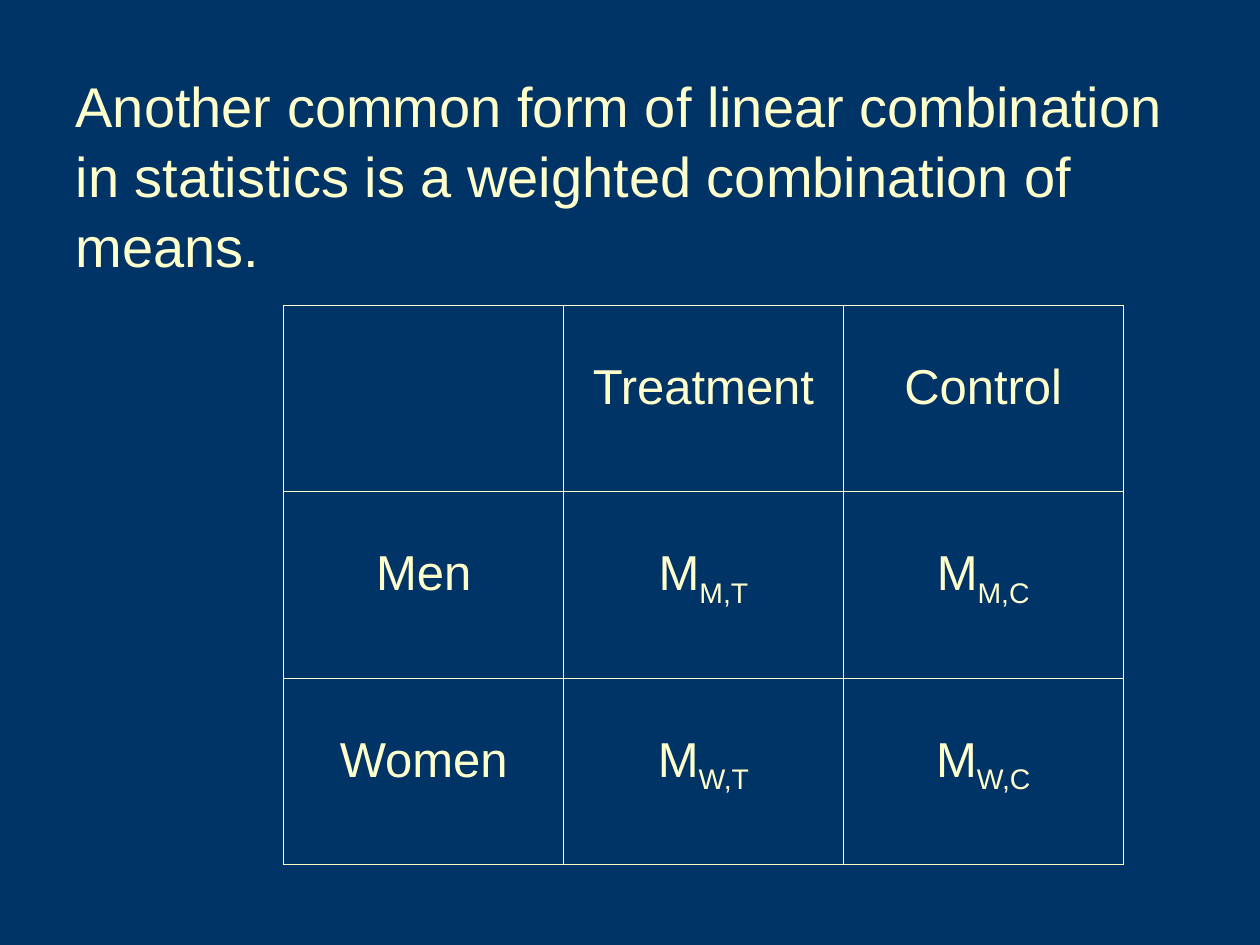
from lxml import etree
from pptx import Presentation
from pptx.dml.color import RGBColor
from pptx.enum import text
from pptx.oxml import ns
from pptx.util import Cm, Pt

TITLE = ("Another common form of linear combination in statistics "
         "is a weighted combination of means.")
# Each cell is (text, subscript).
ROWS = [
    [("", ""), ("Treatment", ""), ("Control", "")],
    [("Men", ""), ("M", "M,T"), ("M", "M,C")],
    [("Women", ""), ("M", "W,T"), ("M", "W,C")],
]


class Theme:
    font = "Arial"
    back = RGBColor(0x00, 0x33, 0x66)
    ink = RGBColor(0xFF, 0xFF, 0xCC)
    title = Pt(32)
    cell = Pt(28)
    line = Pt(0.45)


COL, ROW = Cm(5.64), Cm(3.76)
SIDES = ("a:lnL", "a:lnR", "a:lnT", "a:lnB")


def style(run, size):
    run.font.name = Theme.font
    run.font.size = size
    run.font.color.rgb = Theme.ink


def border(cell):
    props = cell._tc.get_or_add_tcPr()
    for side in SIDES:
        line = etree.SubElement(props, ns.qn(side), w=str(Theme.line))
        fill = etree.SubElement(line, ns.qn("a:solidFill"))
        etree.SubElement(fill, ns.qn("a:srgbClr"), val=str(Theme.ink))


def fill_cell(cell, label, sub):
    border(cell)
    cell.fill.background()
    cell.margin_top = Cm(1.11)
    para = cell.text_frame.paragraphs[0]
    para.alignment = text.PP_ALIGN.CENTER
    for part in filter(None, (label, sub)):
        run = para.add_run()
        run.text = part
        style(run, Theme.cell)
    if sub:
        run._r.get_or_add_rPr().set("baseline", "-25000")


def add_title(slide):
    title = slide.shapes.title
    title.left, title.top = Cm(1.27), Cm(1.27)
    title.width, title.height = Cm(22.86), Cm(4.32)
    frame = title.text_frame
    frame.text = TITLE
    frame.word_wrap = True
    frame.auto_size = text.MSO_AUTO_SIZE.NONE
    frame.vertical_anchor = text.MSO_ANCHOR.TOP
    para = frame.paragraphs[0]
    para.alignment = text.PP_ALIGN.LEFT
    para.line_spacing = 1.04
    style(para.runs[0], Theme.title)


def add_means(slide):
    rows, cols = len(ROWS), len(ROWS[0])
    table = slide.shapes.add_table(
        rows, cols, Cm(5.72), Cm(6.15), COL * cols, ROW * rows).table
    table.first_row = table.horz_banding = False
    for col in table.columns:
        col.width = COL
    for r, row in enumerate(ROWS):
        table.rows[r].height = ROW
        for c, (label, sub) in enumerate(row):
            fill_cell(table.cell(r, c), label, sub)


def main():
    deck = Presentation()
    deck.slide_width, deck.slide_height = Cm(25.4), Cm(19.05)
    slide = deck.slides.add_slide(deck.slide_layouts[5])
    slide.background.fill.solid()
    slide.background.fill.fore_color.rgb = Theme.back
    add_title(slide)
    add_means(slide)
    deck.save("out.pptx")


if __name__ == "__main__":
    main()
